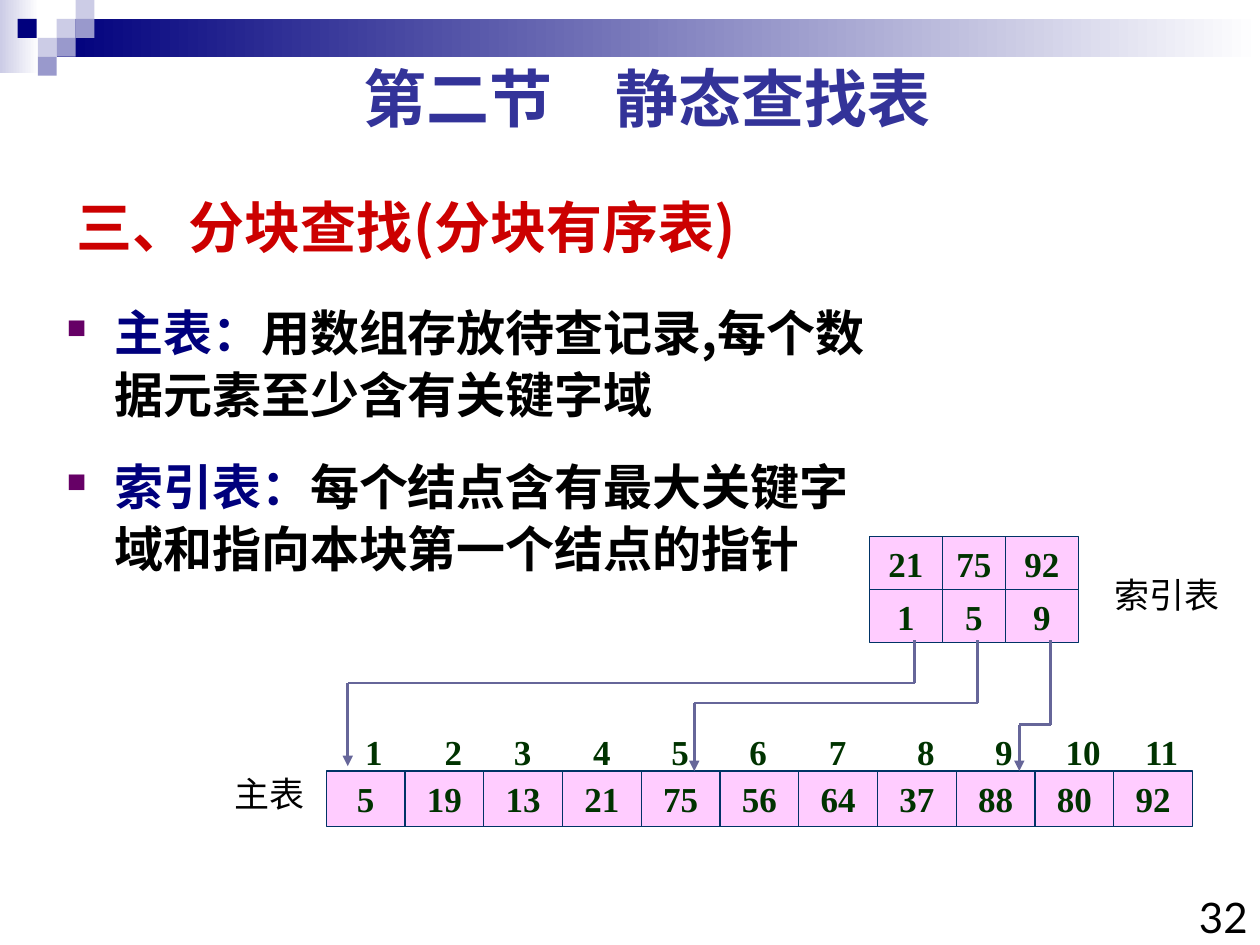
from lxml.etree import SubElement as Sub
from pptx import Presentation
from pptx.dml.color import RGBColor as Rgb
from pptx.enum.shapes import MSO_CONNECTOR as Conn, MSO_SHAPE as Shape
from pptx.enum.text import MSO_ANCHOR as Anchor, MSO_AUTO_SIZE as Auto, PP_ALIGN as Align
from pptx.oxml.ns import qn
from pptx.util import Inches, Pt

NAVY = Rgb(0x00, 0x00, 0x7D)
PALE = Rgb(0xCC, 0xCC, 0xE6)
LILAC = Rgb(0x99, 0x99, 0xCC)
WHITE = Rgb(0xFF, 0xFF, 0xFF)
BLACK = Rgb(0x00, 0x00, 0x00)
RED = Rgb(0xCC, 0x00, 0x00)
BLUE = Rgb(0x33, 0x33, 0x99)
GREEN = Rgb(0x00, 0x33, 0x00)
PINK = Rgb(0xFF, 0xCC, 0xFF)
EDGE = Rgb(0x00, 0x33, 0x66)
SLATE = Rgb(0x66, 0x66, 0x99)

SANS, CJK, SERIF = "Lato", "Noto Sans CJK SC", "Times New Roman"
HEAD = {"name": CJK, "size": Pt(32), "bold": True}
BODY = {"name": CJK, "size": Pt(28), "bold": True}
TOP = {"name": SANS, "size": Pt(36), "bold": True}
PAGE = {"name": SANS, "size": Pt(24), "bold": False}
LABEL = {"name": SANS, "size": Pt(20), "bold": False}
DIGIT = {"name": SERIF, "size": Pt(20), "bold": True}

KEYS = [5, 19, 13, 21, 75, 56, 64, 37, 88, 80, 92]
STOPS = [0.63, 1.18, 1.81, 2.43, 3.05, 3.68, 4.38, 5, 5.56, 6.19]
MAIN_X, MAIN_Y, MAIN_W, MAIN_H = 2.59, 6.12, 0.625, 0.44
# Index table: left, width, largest key, first place
INDEX = [(6.9, 0.58, 21, 1), (7.48, 0.5, 75, 5), (7.98, 0.58, 92, 9)]
INDEX_Y, INDEX_H = 4.26, 0.42
# Pointers: start x, bend y, end x, end y
LINKS = [(7.26, 5.42, 2.76, 6.08), (7.76, 5.58, 5.51, 6.12), (8.34, 5.75, 8.09, 6.12)]
LINK_Y = 5.08


def put(item, vals):
    for key, val in vals.items():
        setattr(item, key, val)


def write(para, text, style, color):
    run = para.add_run()
    run.text = text
    put(run.font, style)
    run.font.color.rgb = color
    Sub(run.font._element, qn("a:ea"), typeface=CJK)


def place(item, spot):
    put(item, dict(zip(("left", "top", "width", "height"), map(Inches, spot))))


def add_text(slide, spot, text, style, color, align=Align.LEFT, side=0.1):
    box = slide.shapes.add_textbox(*map(Inches, spot))
    put(box.text_frame, {"word_wrap": True, "margin_left": Inches(side),
                         "margin_right": Inches(side)})
    para = box.text_frame.paragraphs[0]
    para.alignment = align
    write(para, text, style, color)
    return para


def add_rect(slide, spot, *fills):
    rect = slide.shapes.add_shape(Shape.RECTANGLE, *map(Inches, spot))
    rect.shadow.inherit = False
    rect.line.fill.background()
    if len(fills) == 1:
        rect.fill.solid()
        rect.fill.fore_color.rgb = fills[0]
    else:
        rect.fill.gradient()
        rect.fill.gradient_angle = 0
        for stop, color in zip(rect.fill.gradient_stops, fills):
            stop.color.rgb = color
    return rect


def add_cell(slide, spot, value):
    cell = add_rect(slide, spot, PINK)
    cell.line.color.rgb = EDGE
    cell.line.width = Pt(0.75)
    put(cell.text_frame, {"word_wrap": False, "vertical_anchor": Anchor.MIDDLE})
    para = cell.text_frame.paragraphs[0]
    para.alignment = Align.CENTER
    write(para, str(value), DIGIT, GREEN)


def add_line(slide, start, end, arrow=False):
    line = slide.shapes.add_connector(Conn.STRAIGHT, *map(Inches, start + end))
    line.line.color.rgb = SLATE
    line.line.width = Pt(1.5)
    if arrow:
        Sub(line.line._get_or_add_ln(), qn("a:tailEnd"), type="triangle")
    Sub(line._element.spPr, qn("a:effectLst"))


def add_tabs(para, stops):
    tabs = Sub(para._p.get_or_add_pPr(), qn("a:tabLst"))
    for stop in stops:
        Sub(tabs, qn("a:tab"), pos=str(Inches(stop)), algn="l")


def add_bullet(para):
    props = para._p.get_or_add_pPr()
    props.set("marL", str(Inches(0.38)))
    props.set("indent", str(Inches(-0.38)))
    Sub(Sub(props, qn("a:buClr")), qn("a:srgbClr"), val="660066")
    Sub(props, qn("a:buSzPct"), val="55000")
    Sub(props, qn("a:buChar"), char="■")


def add_band(slide):
    add_rect(slide, (0, 0, 0.31, 0.58), PALE, WHITE)
    add_rect(slide, (0.45, 0.15, 9.55, 0.3), NAVY, WHITE)
    for x, y, color in [(0.45, 0.15, PALE), (0.6, 0, PALE), (0.6, 0.15, LILAC),
                        (0.3, 0.3, PALE), (0.14, 0.15, NAVY),
                        (0.45, 0.3, LILAC), (0.3, 0.45, LILAC)]:
        add_rect(slide, (x, y, 0.15, 0.15), color)


def add_title(slide, text):
    title = slide.shapes.title
    place(title, (0.51, 1.42, 6.25, 0.75))
    put(title.text_frame, {"vertical_anchor": Anchor.MIDDLE, "auto_size": Auto.NONE})
    para = title.text_frame.paragraphs[0]
    para.alignment = Align.LEFT
    write(para, text, HEAD, RED)


def add_body(slide, items):
    box = slide.shapes.add_textbox(*map(Inches, (0.43, 2.33, 6.67, 4.42)))
    frame = box.text_frame
    frame.word_wrap = True
    for i, (term, text) in enumerate(items):
        para = frame.add_paragraph() if i else frame.paragraphs[0]
        put(para, {"line_spacing": 1.05, "space_before": Pt(17.5 if i else 0)})
        add_bullet(para)
        write(para, term, BODY, NAVY)
        write(para, text, BODY, BLACK)


def add_main(slide):
    places = "\t".join(str(i + 1) for i in range(len(KEYS)))
    para = add_text(slide, (2.8, 5.75, 7, 0.44), places, DIGIT, GREEN)
    add_tabs(para, STOPS)
    for i, key in enumerate(KEYS):
        add_cell(slide, (MAIN_X + i * MAIN_W, MAIN_Y, MAIN_W, MAIN_H), key)


def add_index(slide):
    for x, width, *pair in INDEX:
        for row, value in enumerate(pair):
            add_cell(slide, (x, INDEX_Y + row * INDEX_H, width, INDEX_H), value)


def add_link(slide, x, bend, end_x, end_y):
    add_line(slide, (end_x, bend), (end_x, end_y), arrow=True)
    add_line(slide, (x, bend), (end_x, bend))
    add_line(slide, (x, bend), (x, LINK_Y))


def main():
    deck = Presentation()
    put(deck, {"slide_width": Inches(10), "slide_height": Inches(7.5)})
    slide = deck.slides.add_slide(deck.slide_layouts[5])

    # Header and text
    add_band(slide)
    add_title(slide, "三、分块查找(分块有序表)")
    add_text(slide, (9.33, 7.03, 0.67, 0.59), "32", PAGE, BLACK, Align.RIGHT)
    add_text(slide, (0.51, 0.42, 9.25, 0.7), "第二节　静态查找表", TOP, BLUE, Align.CENTER)
    add_body(slide, [("主表：", "用数组存放待查记录,每个数据元素至少含有关键字域"),
                     ("索引表：", "每个结点含有最大关键字域和指向本块第一个结点的指针")])

    # Tables and pointers
    add_main(slide)
    add_index(slide)
    for link in LINKS:
        add_link(slide, *link)
    add_text(slide, (1.76, 6.08, 0.83, 0.44), "主表", LABEL, BLACK)
    add_text(slide, (8.76, 4.5, 1, 0.44), "索引表", LABEL, BLACK, Align.CENTER, 0)

    deck.save("out.pptx")


if __name__ == "__main__":
    main()
